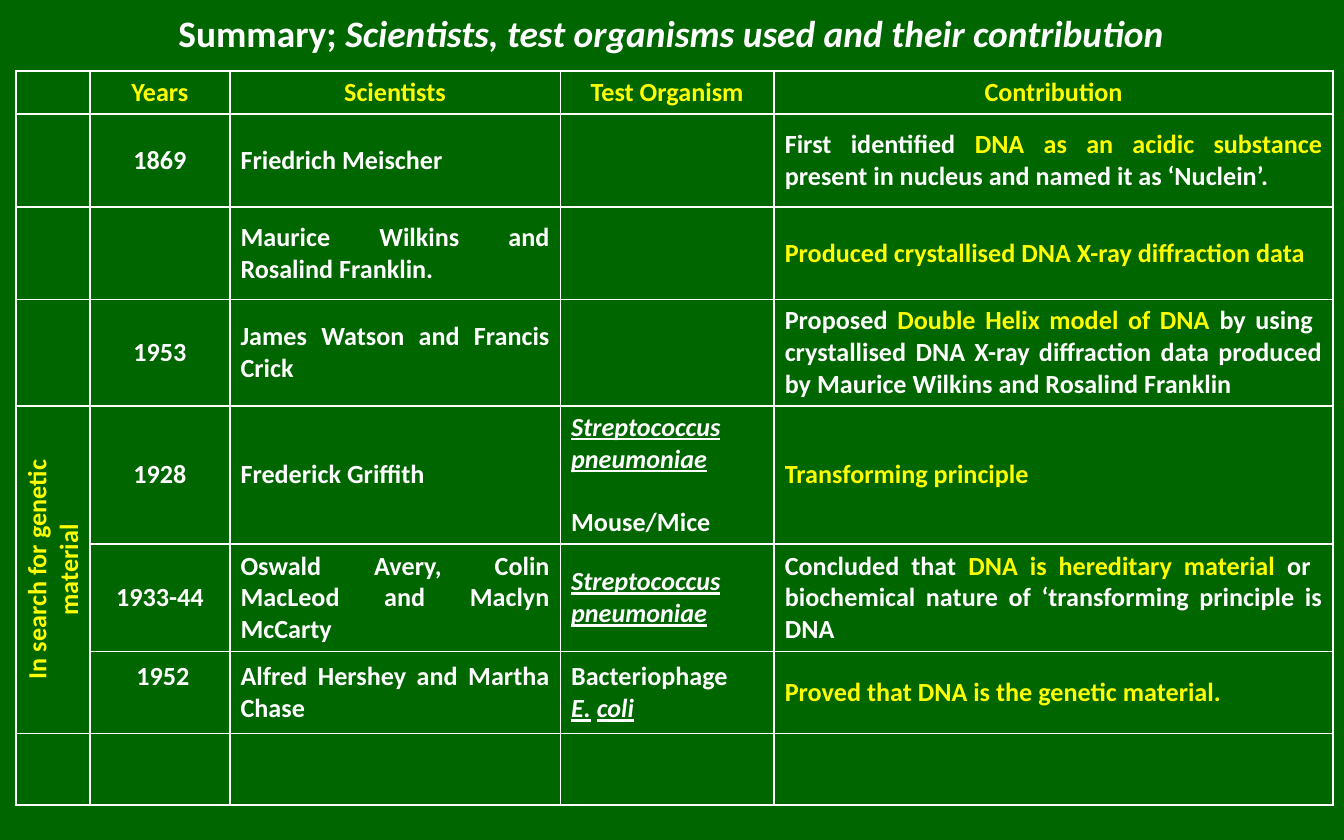
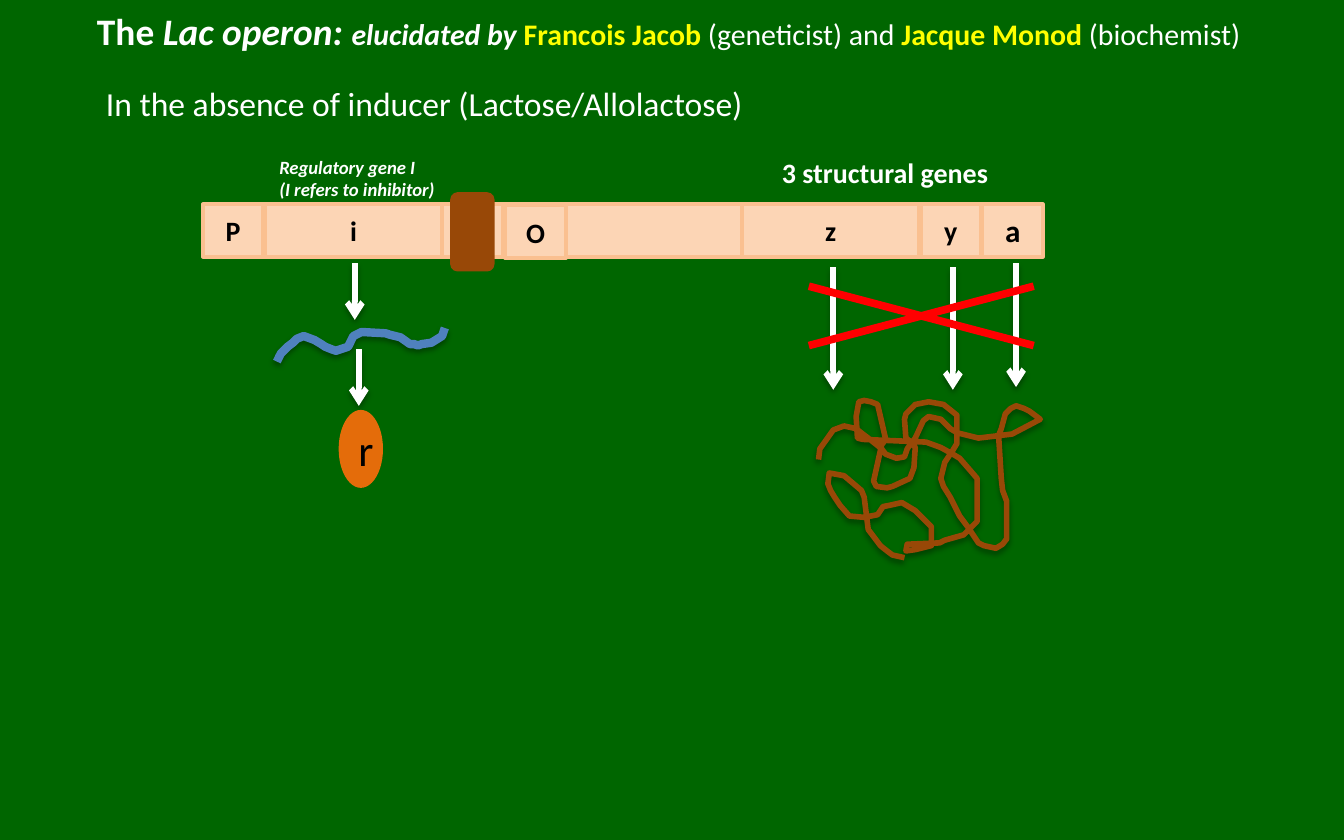
from lxml import etree
from pptx import Presentation
from pptx import util as u
from pptx.dml import color
from pptx.enum import shapes, text
from pptx.oxml import ns

GREEN, WHITE, YELLOW, BLACK = "006600", "FFFFFF", "FFFF00", "000000"
PEACH, PEACH_EDGE = "FCD5B5", "FAC090"
BROWN, ORANGE, BLUE, RED = "984807", "E46C0A", "4F81BD", "FF0000"
FONT = "Calibri"
CENTER, LEFT, JUSTIFY = text.PP_ALIGN.CENTER, text.PP_ALIGN.LEFT, text.PP_ALIGN.JUSTIFY
KEY = {"color": YELLOW}
LATIN = {"italic": True, "underline": True}

COLUMNS = [0.55, 1.04, 2.46, 1.59, 4.16]
ROWS = [0.32, 0.69, 0.69, 0.79, 1.03, 0.8, 0.61, 0.53]
STREPTOCOCCUS = [("Streptococcus", LATIN), " ", ("pneumoniae", LATIN)]
# Each cell is a list of paragraphs, each paragraph a list of runs
SUMMARY = [
    [[]] + [[[(name, KEY)]] for name in ("Years", "Scientists", "Test Organism", "Contribution")],
    [[], [["1869"]], [["Friedrich Meischer "]], [],
     [["First identified ", ("DNA as an acidic substance ", KEY),
       "present in nucleus and named it as ‘Nuclein’. "]]],
    [[], [], [["Maurice Wilkins and Rosalind Franklin. "]], [],
     [[("Produced crystallised DNA X-ray diffraction data ", KEY)]]],
    [[], [["1953"]], [["James Watson and Francis Crick "]], [],
     [["Proposed ", ("Double Helix model of DNA ", KEY),
       "by using  crystallised DNA X-ray diffraction data produced by "
       "Maurice Wilkins and Rosalind Franklin"]]],
    [[[("In search for genetic material", KEY)]], [["1928"]], [["Frederick Griffith"]],
     [STREPTOCOCCUS, ["Mouse/Mice"]], [[("Transforming principle", KEY)]]],
    [[], [["1933-44"]], [["Oswald Avery, Colin MacLeod and Maclyn McCarty"]], [STREPTOCOCCUS],
     [["Concluded that ", ("DNA is hereditary material ", KEY),
       "or  biochemical nature of ‘transforming principle is DNA"]]],
    [[], [[" 1952"]], [["Alfred Hershey and Martha Chase"]],
     [["Bacteriophage"], [("E.", LATIN), " ", ("coli", LATIN)]],
     [[("Proved that DNA is the genetic material.", KEY)]]],
    [[]] * 5,
]

# Outline points in hundredths of an inch from the top left of their box
RNA = [
    (0, 25), (2, 21), (3, 19), (5, 17), (8, 14), (12, 11), (15, 8), (20, 6), (28, 9), (33, 12),
    (36, 14), (41, 16), (44, 17), (53, 14), (57, 6), (61, 4), (63, 3), (81, 4), (84, 5), (88, 6),
    (92, 7), (99, 12), (102, 12), (105, 13), (108, 12), (115, 11), (123, 6), (124, 3), (125, 0)]
TANGLE = [
    (0, 44), (1, 36), (11, 22), (19, 19), (28, 21), (33, 25), (37, 28), (47, 36), (50, 40),
    (58, 43), (64, 42), (66, 36), (72, 28), (78, 15), (82, 12), (91, 14), (98, 21), (103, 24),
    (107, 25), (119, 28), (144, 25), (165, 14), (157, 8), (153, 6), (147, 4), (143, 6),
    (139, 10), (136, 21), (134, 26), (136, 58), (137, 67), (140, 75), (140, 103), (137, 107),
    (132, 110), (123, 108), (119, 106), (111, 94), (105, 86), (98, 72), (93, 64), (91, 58),
    (94, 46), (100, 37), (103, 32), (103, 11), (98, 7), (93, 3), (82, 1), (72, 3), (65, 10),
    (64, 14), (65, 28), (69, 31), (72, 35), (71, 50), (68, 58), (55, 64), (51, 65), (43, 64),
    (41, 60), (47, 33), (50, 29), (44, 3), (39, 1), (34, 0), (30, 1), (28, 12), (29, 28),
    (33, 29), (80, 31), (91, 35), (100, 40), (105, 43), (112, 51), (118, 58), (118, 90),
    (108, 100), (94, 104), (90, 106), (66, 107), (65, 112), (72, 111), (84, 108), (84, 94),
    (76, 86), (72, 82), (62, 76), (53, 78), (48, 79), (44, 85), (39, 86), (34, 87), (23, 86),
    (16, 78), (12, 72), (9, 67), (7, 62), (8, 54), (19, 56), (32, 67), (34, 72), (37, 96),
    (43, 104), (46, 108), (51, 112), (55, 115), (64, 117)]


def rgb(value):
    return color.RGBColor.from_string(value)


def inches(*lengths):
    return [u.Inches(length) for length in lengths]


def child(parent, tag, **attributes):
    return etree.SubElement(parent, ns.qn(tag), attributes)


def write(frame, paragraphs, align=LEFT, gap=0, **base):
    """Fill a text frame; a run is a string or (string, format)."""
    for index, runs in enumerate(paragraphs):
        paragraph = frame.paragraphs[0] if index == 0 else frame.add_paragraph()
        paragraph.alignment = align
        if index and gap:
            paragraph.space_before = u.Pt(gap)
        for item in runs:
            words, extra = (item, {}) if isinstance(item, str) else item
            style = {"size": 14, "color": WHITE, "bold": False, **base, **extra}
            run = paragraph.add_run()
            run.text = words
            run.font.name = FONT
            run.font.size = u.Pt(style["size"])
            run.font.color.rgb = rgb(style["color"])
            run.font.bold = style["bold"]
            run.font.italic = style.get("italic", False)
            run.font.underline = style.get("underline", False)


def add_text(slide, box, paragraphs, wrap=True, anchor=text.MSO_ANCHOR.TOP, **style):
    frame = slide.shapes.add_textbox(*inches(*box)).text_frame
    frame.word_wrap = wrap
    frame.vertical_anchor = anchor
    write(frame, paragraphs, **style)


def add_title(slide, box, runs):
    add_text(slide, box, [runs], anchor=text.MSO_ANCHOR.MIDDLE, align=CENTER, size=20, bold=True)


def add_block(parent, kind, box, fill, edge=None, label=None, **style):
    shape = parent.shapes.add_shape(kind, *inches(*box))
    shape.shadow.inherit = False
    shape.fill.solid()
    shape.fill.fore_color.rgb = rgb(fill)
    if edge:
        shape.line.color.rgb = rgb(edge)
        shape.line.width = u.Pt(2)
    else:
        shape.line.fill.background()
    if label:
        shape.text_frame.vertical_anchor = text.MSO_ANCHOR.MIDDLE
        write(shape.text_frame, [[label]], align=CENTER, color=BLACK, **style)
    return shape


def stroke(shape, hue, width):
    """Colour a line and give it the soft shadow below."""
    shape.line.color.rgb = rgb(hue)
    shape.line.width = u.Pt(width)
    properties = shape.element.spPr
    effects = properties.find(ns.qn("a:effectLst"))
    if effects is None:
        effects = child(properties, "a:effectLst")
    shadow = child(effects, "a:outerShdw", blurRad=str(u.Pt(3.1)), dist=str(u.Pt(1.8)),
                   dir="5400000", rotWithShape="0")
    child(child(shadow, "a:srgbClr", val=BLACK), "a:alpha", val="35000")


def add_arrow(slide, x, top, bottom):
    arrow = slide.shapes.add_connector(shapes.MSO_CONNECTOR.STRAIGHT, *inches(x, top, x, bottom))
    stroke(arrow, WHITE, 3)
    child(arrow.line._get_or_add_ln(), "a:tailEnd", type="arrow")


def add_strand(slide, left, top, points, hue, width):
    outline = [inches(left + x / 100, top + y / 100) for x, y in points]
    builder = slide.shapes.build_freeform(*outline[0])
    builder.add_line_segments(outline[1:], close=False)
    strand = builder.convert_to_shape()
    strand.shadow.inherit = False
    strand.fill.background()
    stroke(strand, hue, width)


def format_cell(cell):
    cell.fill.background()
    cell.vertical_anchor = text.MSO_ANCHOR.MIDDLE
    cell.margin_left = cell.margin_right = u.Inches(0.08)
    cell.margin_top = cell.margin_bottom = u.Inches(0.04)
    properties = cell._tc.get_or_add_tcPr()
    for index, side in enumerate(("a:lnL", "a:lnR", "a:lnT", "a:lnB")):
        line = child(properties, side, w=str(u.Pt(1)))
        child(child(line, "a:solidFill"), "a:srgbClr", val=WHITE)
        properties.insert(index, line)


def add_summary_table(slide, left, top):
    box = inches(left, top, sum(COLUMNS), sum(ROWS))
    table = slide.shapes.add_table(len(ROWS), len(COLUMNS), *box).table
    table.first_row = table.horz_banding = False
    for column, width in zip(table.columns, COLUMNS):
        column.width = u.Inches(width)
    for row, height in zip(table.rows, ROWS):
        row.height = u.Inches(height)
    for r, row in enumerate(SUMMARY):
        for c, paragraphs in enumerate(row):
            cell = table.cell(r, c)
            format_cell(cell)
            align = CENTER if r == 0 or c < 2 else JUSTIFY
            # The mouse stands one line below the bacterium
            gap = 17 if (r, c) == (4, 3) else 0
            write(cell.text_frame, paragraphs, align=align, gap=gap, bold=True)
            if not paragraphs:
                child(cell.text_frame.paragraphs[0]._p, "a:endParaRPr", sz="1400")
    # Upright label beside the three experiments
    table.cell(4, 0).merge(table.cell(6, 0))
    table.cell(4, 0)._tc.get_or_add_tcPr().set("vert", "vert270")
    # The last year lines up with the first line of its row
    table.cell(6, 1).margin_bottom = u.Inches(0.28)


def add_operon(slide, left, top):
    """Gene bar with its promoter, regulator, operator and structural genes."""
    height, short, long = 0.39, 0.45, 1.32
    group = slide.shapes.add_group_shape()
    genes = [(0.01, 0, 6.23, None, 15), (0, 0, short, "P", 15), (0.46, 0, long, "i", 15),
             (2.7, 0, long, None, 15), (1.78, 0, short, None, 15), (4.01, 0, long, "z", 15),
             (5.8, 0, short, "a", 16.7), (5.34, 0, short, "y", 15), (2.25, 0.01, short, "O", 15)]
    for x, y, width, label, size in genes:
        add_block(group, shapes.MSO_SHAPE.RECTANGLE, (left + x, top + y, width, height),
                  PEACH, PEACH_EDGE, label, size=size, bold=True)


def add_repressor(slide, left, top):
    """Regulator gene to RNA to repressor protein."""
    add_arrow(slide, left + 0.58, top, top + 0.42)
    add_strand(slide, left, top + 0.48, RNA, BLUE, 4.5)
    add_arrow(slide, left + 0.61, top + 0.64, top + 1.06)
    add_block(slide, shapes.MSO_SHAPE.OVAL, (left + 0.46, top + 1.09, 0.33, 0.58),
              ORANGE, label="r", size=23.3)


def add_blocked_genes(slide, left, top):
    """Crossed-out arrows from the structural genes to their proteins."""
    for x, start, end in ((0.11, 0.03, 0.94), (1, 0.03, 0.94), (1.47, 0, 0.92)):
        add_arrow(slide, left + x, top + start, top + end)
    cross = add_block(slide, shapes.MSO_SHAPE.MATH_MULTIPLY,
                      (left + 0.34, top - 1.22, 0.85, 3.22), RED)
    cross.adjustments[0] = 0.067
    cross.rotation = 270
    add_strand(slide, left, top + 1.02, TANGLE, BROWN, 3)


def new_slide(presentation):
    slide = presentation.slides.add_slide(presentation.slide_layouts[6])
    slide.background.fill.solid()
    slide.background.fill.fore_color.rgb = rgb(GREEN)
    return slide


def summary_slide(presentation):
    slide = new_slide(presentation)
    add_title(slide, (0.83, 0.05, 8.33, 0.39), [
        "Summary; ", ("Scientists, test organisms used and their contribution", {"italic": True})])
    add_summary_table(slide, 0.12, 0.53)


def operon_slide(presentation):
    slide = new_slide(presentation)
    name = {"size": 16, "color": YELLOW}
    role = {"size": 16, "bold": False}
    add_title(slide, (0.12, -0.02, 9.76, 0.49), [
        "The ", ("Lac operon: ", {"italic": True}),
        ("elucidated by ", {"size": 16, "italic": True}),
        ("Francois Jacob ", name), ("(geneticist) and ", role),
        ("Jacque Monod ", name), ("(biochemist) ", role)])
    add_text(slide, (1.98, 1.11, 1.43, 0.44),
             [["Regulatory gene I"], ["(I refers to inhibitor)"]], size=10, bold=True, italic=True)
    add_text(slide, (5.72, 1.11, 1.87, 0.35), [["3 structural genes"]], size=15, bold=True)
    add_operon(slide, 1.51, 1.52)
    add_repressor(slide, 2.06, 1.96)
    # Repressor sitting on the promoter
    add_block(slide, shapes.MSO_SHAPE.ROUNDED_RECTANGLE, (3.35, 1.43, 0.33, 0.59), BROWN)
    add_blocked_genes(slide, 6.09, 1.96)
    add_text(slide, (0.69, 0.57, 5, 0.4),
             [["In the absence of inducer (Lactose/Allolactose)"]], wrap=False, size=18)


def main():
    presentation = Presentation()
    presentation.slide_width, presentation.slide_height = inches(10, 6.25)
    summary_slide(presentation)
    operon_slide(presentation)
    presentation.save("out.pptx")


if __name__ == "__main__":
    main()
